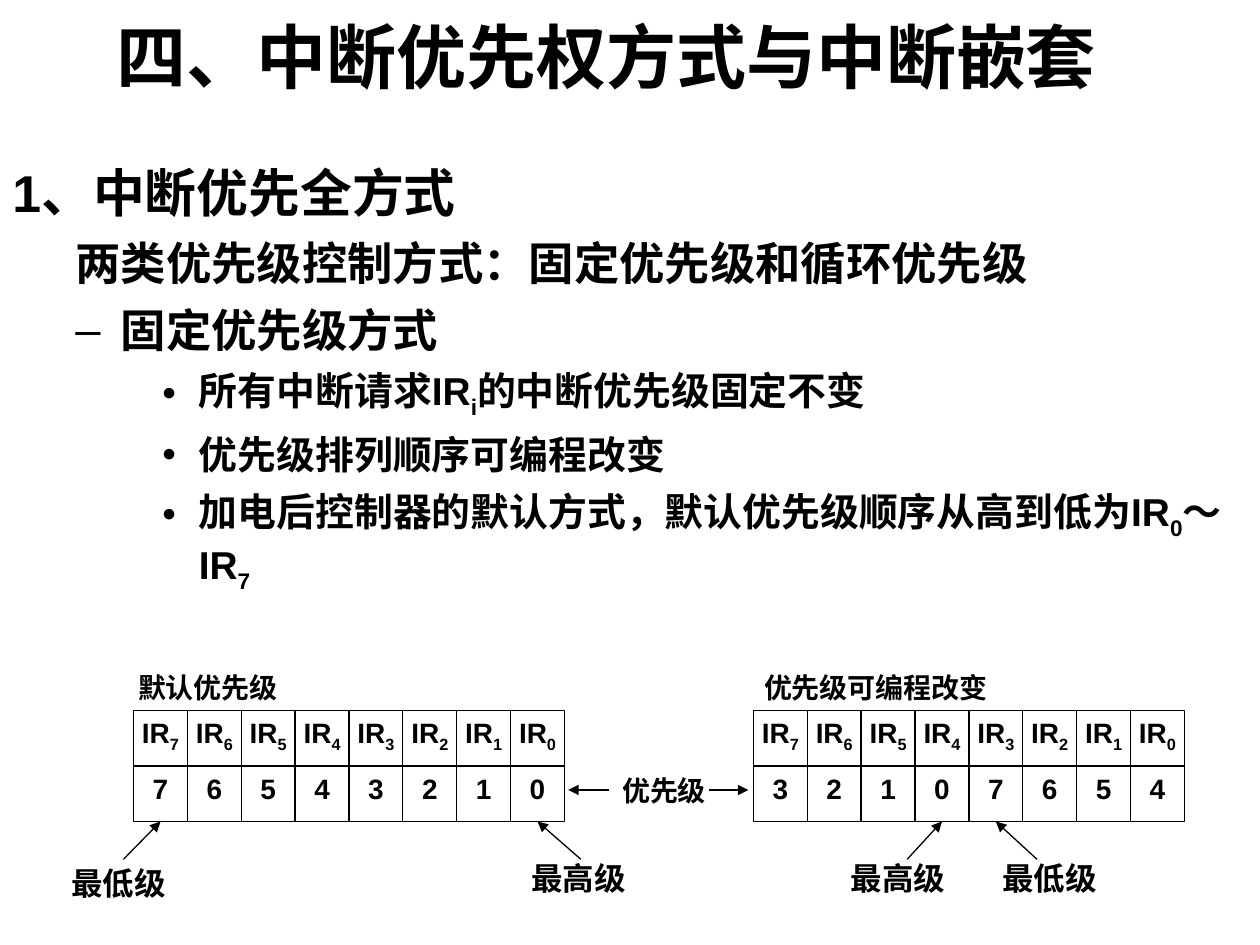
"""Build the slide on interrupt priority modes and interrupt nesting."""
from lxml import etree
from pptx import Presentation
from pptx import util as u
from pptx.dml import color
from pptx.enum import shapes, text
from pptx.oxml import ns


def rgb(value):
    return color.RGBColor.from_string(value)


def write(frame, content, size=16, align=text.PP_ALIGN.CENTER, new=False, level=0,
          before=0, margin=0, indent=0, bullet=None):
    paragraph = frame.add_paragraph() if new else frame.paragraphs[0]
    paragraph.alignment = align
    paragraph.level = level
    paragraph.space_before = u.Pt(before)
    properties = paragraph._p.get_or_add_pPr()
    properties.set("marL", str(u.Inches(margin)))
    properties.set("indent", str(u.Inches(indent)))
    if bullet:
        etree.SubElement(properties, ns.qn("a:buFont")).set("typeface", "Arial")
        etree.SubElement(properties, ns.qn("a:buChar")).set("char", bullet)
    else:
        etree.SubElement(properties, ns.qn("a:buNone"))
    for position, part in enumerate(content.split("_")):
        if not part:
            continue
        run = paragraph.add_run()
        run.text = part
        run.font.name = "Arial"
        run.font.size = u.Pt(size)
        run.font.bold = True
        run.font.color.rgb = rgb("000000")
        if position % 2:
            run.font._element.set("baseline", "-25000")


deck = Presentation()
deck.slide_width, deck.slide_height = u.Inches(10), u.Inches(7.5)
slide = deck.slides.add_slide(deck.slide_layouts[6])

title = slide.shapes.add_textbox(u.Inches(0.83), 0, u.Inches(8.5), u.Inches(0.88)).text_frame
title.word_wrap = True
title.vertical_anchor = text.MSO_ANCHOR.MIDDLE
write(title, "四、中断优先权方式与中断嵌套", size=40, align=text.PP_ALIGN.LEFT)

body = slide.shapes.add_textbox(0, u.Inches(1.23), u.Inches(10), u.Inches(3.54)).text_frame
body.word_wrap = True
heading = dict(size=29.6, margin=0.67, indent=-0.67)
mode = dict(size=25.9, level=1, before=7, margin=0.86, indent=-0.36)
detail = dict(size=22.2, level=2, before=6, margin=1.48, indent=-0.29, bullet="•")
outline = [
    ("1、中断优先全方式", heading),
    ("两类优先级控制方式：固定优先级和循环优先级", mode),
    ("固定优先级方式", dict(mode, bullet="–")),
    ("所有中断请求IR_i_的中断优先级固定不变", detail),
    ("优先级排列顺序可编程改变", detail),
    ("加电后控制器的默认方式，默认优先级顺序从高到低为IR_0_～IR_7_", detail),
]
for index, (content, style) in enumerate(outline):
    write(body, content, align=text.PP_ALIGN.LEFT, new=index > 0, **style)

requests = [f"IR_{number}_" for number in range(7, -1, -1)]
cell_width, cell_height = 3.42 / 8, 0.44
priority_cells = {}
for side, left, priorities in [("default", 1.06, "76543210"), ("programmed", 5.98, "32107654")]:
    for top, row in [(5.64, requests), (6.08, priorities)]:
        for column, content in enumerate(row):
            cell = slide.shapes.add_shape(
                shapes.MSO_SHAPE.RECTANGLE, u.Inches(left + column * cell_width),
                u.Inches(top), u.Inches(cell_width), u.Inches(cell_height))
            cell.shadow.inherit = False
            cell.fill.background()
            cell.line.color.rgb = rgb("000000")
            cell.line.width = u.Pt(0.75)
            frame = cell.text_frame
            frame.margin_left = frame.margin_right = frame.margin_bottom = 0
            frame.margin_top = u.Inches(0.04)
            frame.vertical_anchor = text.MSO_ANCHOR.TOP
            write(frame, content)
            priority_cells[side, column] = cell

labels = [
    ("默认优先级", 1.06, 5.32, 1.18, 16),
    ("优先级可编程改变", 5.99, 5.32, 1.92, 16),
    ("优先级", 4.81, 6.14, 0.92, 16),
    ("最低级", 0.51, 6.86, 0.86, 18),
    ("最高级", 4.13, 6.82, 0.92, 18),
    ("最高级", 6.73, 6.82, 0.79, 18),
    ("最低级", 7.91, 6.82, 0.84, 18),
]
for content, left, top, width, size in labels:
    label = slide.shapes.add_textbox(
        u.Inches(left), u.Inches(top), u.Inches(width), u.Inches(size / 60)).text_frame
    label.word_wrap = True
    label.auto_size = text.MSO_AUTO_SIZE.SHAPE_TO_FIT_TEXT
    label.margin_left = label.margin_right = label.margin_top = label.margin_bottom = 0
    write(label, content, size=size)

arrows = [
    ((0.98, 6.82), (1.27, 6.52), ("default", 0)),
    ((4.61, 6.82), (4.27, 6.52), ("default", 7)),
    ((7.2, 6.82), (7.48, 6.52), ("programmed", 3)),
    ((8.23, 6.82), (7.91, 6.52), ("programmed", 4)),
    ((4.83, 6.27), (4.51, 6.27), None),
    ((5.63, 6.27), (5.94, 6.27), None),
]
for start, end, target in arrows:
    arrow = slide.shapes.add_connector(
        shapes.MSO_CONNECTOR.STRAIGHT, *(u.Inches(length) for length in start + end))
    if target:
        arrow.end_connect(priority_cells[target], 2)
    arrow.line.color.rgb = rgb("000000")
    arrow.line.width = u.Pt(0.75)
    etree.SubElement(arrow.line._get_or_add_ln(), ns.qn("a:tailEnd")).set("type", "triangle")
    etree.SubElement(arrow._element.spPr, ns.qn("a:effectLst"))

deck.save("out.pptx")
